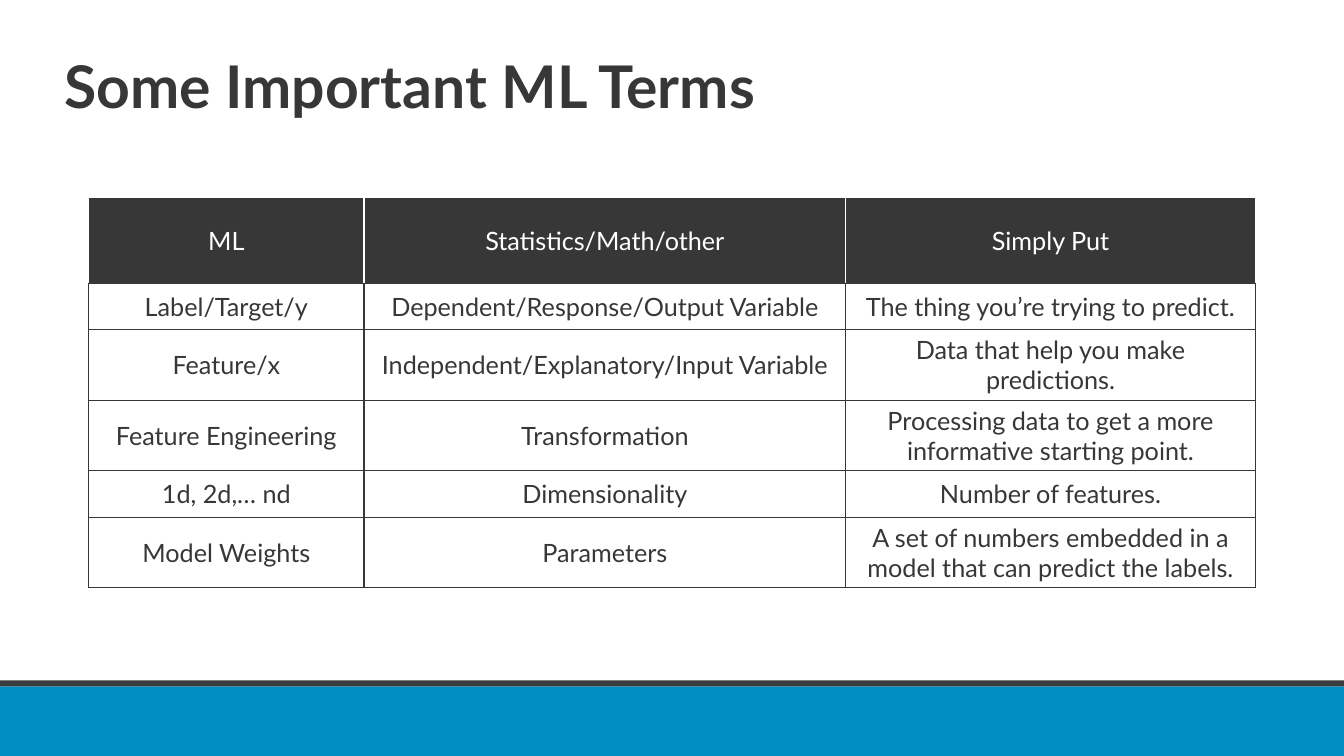
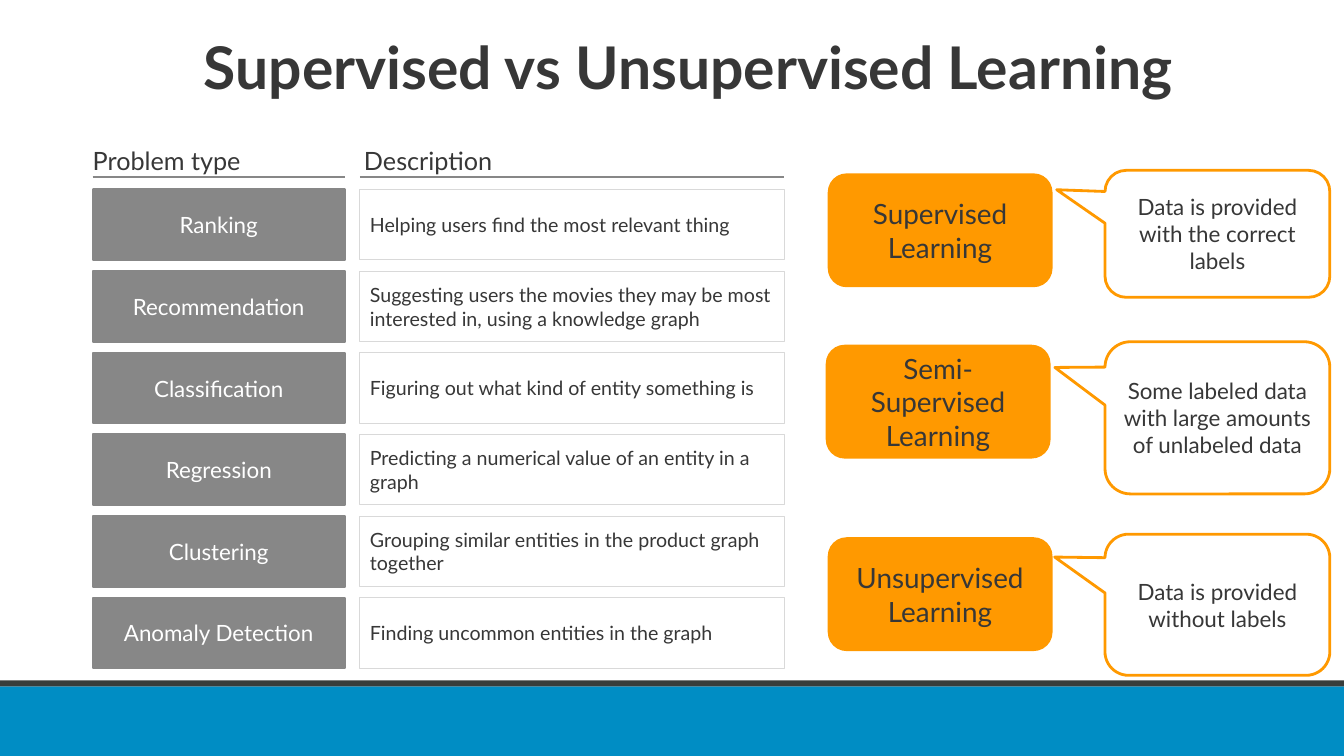
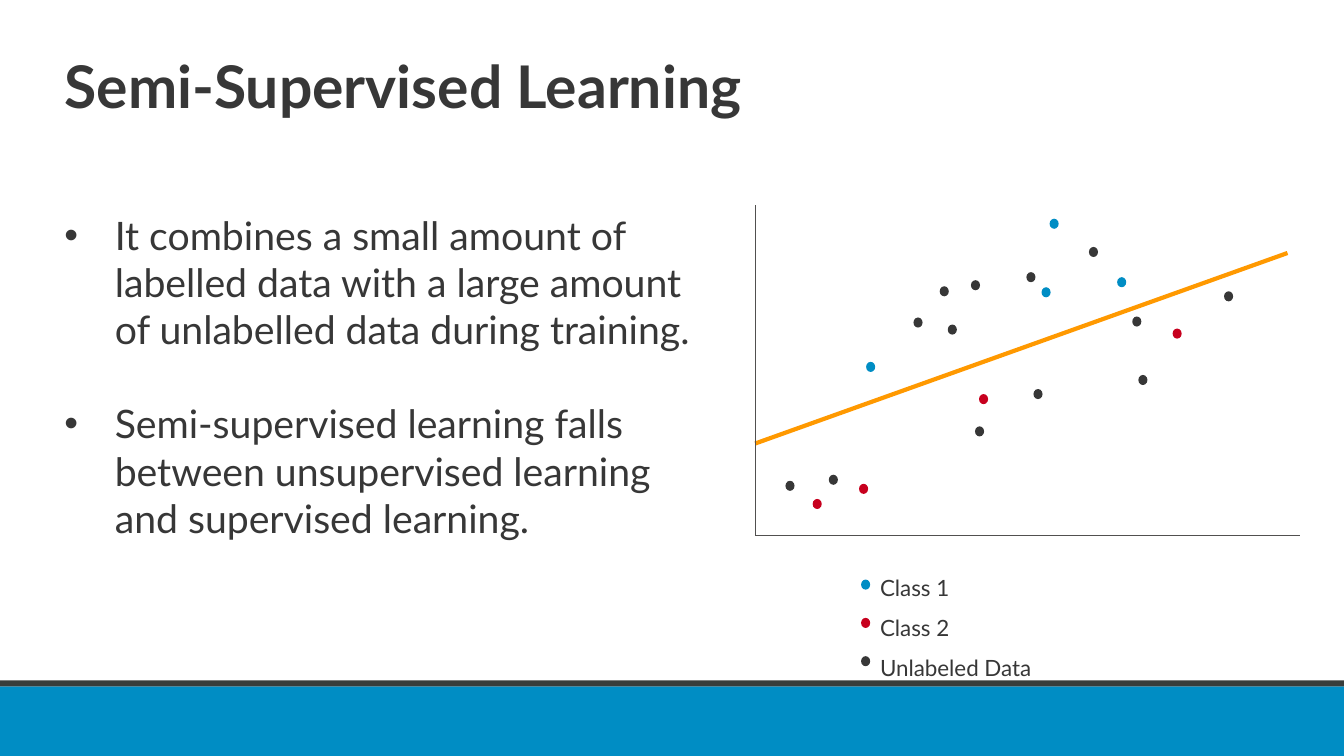
from lxml import etree
from pptx import Presentation
from pptx.dml.color import RGBColor
from pptx.enum.shapes import MSO_CONNECTOR, MSO_SHAPE, PP_PLACEHOLDER
from pptx.enum.text import MSO_ANCHOR, MSO_AUTO_SIZE, PP_ALIGN
from pptx.oxml.ns import qn
from pptx.util import Inches, Pt

LEFT, CENTER = PP_ALIGN.LEFT, PP_ALIGN.CENTER
TOP, MIDDLE = MSO_ANCHOR.TOP, MSO_ANCHOR.MIDDLE
RECTANGLE, ROUNDED = MSO_SHAPE.RECTANGLE, MSO_SHAPE.ROUNDED_RECTANGLE
CALLOUT = MSO_SHAPE.ROUNDED_RECTANGULAR_CALLOUT
DOT = MSO_SHAPE.FLOWCHART_CONNECTOR
STRAIGHT = MSO_CONNECTOR.STRAIGHT

FONT = "Lato"
INK, WHITE, BLUE, ORANGE, RED = "373737", "FFFFFF", "008DC4", "FF9900", "C7001E"
GRAY, PALE_GRAY, AXIS, BAND = "878787", "D9D9D9", "51504F", "383D3B"

TERMS = [
    ("ML", "Statistics/Math/other", "Simply Put"),
    ("Label/Target/y", "Dependent/Response/Output Variable",
     "The thing you’re trying to predict."),
    ("Feature/x", "Independent/Explanatory/Input Variable",
     "Data that help you make predictions."),
    ("Feature Engineering", "Transformation",
     "Processing data to get a more informative starting point."),
    ("1d, 2d,… nd", "Dimensionality", "Number of features."),
    ("Model Weights", "Parameters",
     "A set of numbers embedded in a model that can predict the labels."),
]
PROBLEMS = [
    ("Ranking", "Helping users find the most relevant thing"),
    ("Recommendation", "Suggesting users the movies they may be most "
     "interested in, using a knowledge graph"),
    ("Classification", "Figuring out what kind of entity something is"),
    ("Regression", "Predicting a numerical value of an entity in a graph"),
    ("Clustering", "Grouping similar entities in the product graph together"),
    ("Anomaly Detection", "Finding uncommon entities in the graph"),
]
# Kind, description, left and top of the label, callout height, callout tip
LEARNING_KINDS = [
    ("Supervised Learning", "Data is provided with the correct labels",
     8.21, 1.72, 1.26, (-0.715, -0.347)),
    ("Semi-Supervised Learning",
     "Some labeled data with large amounts of unlabeled data",
     8.19, 3.42, 1.51, (-0.723, -0.331)),
    ("Unsupervised Learning", "Data is provided without labels",
     8.21, 5.33, 1.4, (-0.724, -0.338)),
]
BULLETS = [
    "It combines a small amount of labelled data with a large amount of "
    "unlabelled data during training.",
    "Semi-supervised learning falls between unsupervised learning and "
    "supervised learning.",
]
# Dot positions are measured from the top left of the plot
CLASSES = [
    ("Class 1", BLUE, [(1.1, 1.56), (2.84, 0.82), (2.92, 0.14), (3.59, 0.72)]),
    ("Class 2", RED, [(0.57, 2.92), (1.03, 2.77), (2.22, 1.88), (4.14, 1.23)]),
    ("Unlabeled Data", INK, [
        (0.3, 2.74), (0.73, 2.68), (1.57, 1.12), (1.91, 1.19), (1.83, 0.81),
        (2.14, 0.75), (2.18, 2.2), (2.76, 1.83), (2.69, 0.67), (3.31, 0.42),
        (3.8, 1.69), (3.74, 1.11), (4.65, 0.86)]),
]


def color(value):
    return RGBColor.from_string(value)


def write_text(frame, *texts, size=16, ink=INK, bold=False, align=LEFT,
               anchor=TOP, spacing=None, gap=0, bullet=False):
    """Fill a text frame with one paragraph for each text."""
    frame.word_wrap = True
    frame.vertical_anchor = anchor
    for index, text in enumerate(texts):
        paragraph = frame.add_paragraph() if index else frame.paragraphs[0]
        paragraph.text = text
        paragraph.alignment = align
        if spacing:
            paragraph.line_spacing = spacing
        if index and gap:
            paragraph.space_before = Pt(gap)
        if bullet:
            properties = paragraph._p.get_or_add_pPr()
            properties.set("marL", str(Inches(0.5)))
            properties.set("indent", str(Inches(-0.5)))
            etree.SubElement(properties, qn("a:buFont"), typeface="Arial")
            etree.SubElement(properties, qn("a:buChar"), char="•")
        font = paragraph.font
        font.name, font.size, font.bold = FONT, Pt(size), bold
        font.color.rgb = color(ink)


def add_box(slide, kind, left, top, width, height, fill=None, line=None,
            line_width=1.5):
    shape = slide.shapes.add_shape(kind, Inches(left), Inches(top),
                                   Inches(width), Inches(height))
    shape.shadow.inherit = False
    if fill:
        shape.fill.solid()
        shape.fill.fore_color.rgb = color(fill)
    else:
        shape.fill.background()
    if line:
        shape.line.color.rgb = color(line)
        shape.line.width = Pt(line_width)
    else:
        shape.line.fill.background()
    return shape


def add_text(slide, left, top, width, height, *texts, **text_format):
    box = slide.shapes.add_textbox(Inches(left), Inches(top),
                                   Inches(width), Inches(height))
    write_text(box.text_frame, *texts, **text_format)
    return box


def add_line(slide, start, end, line, width):
    connector = slide.shapes.add_connector(
        STRAIGHT, *(Inches(value) for value in (*start, *end)))
    connector.line.color.rgb = color(line)
    connector.line.width = Pt(width)
    etree.SubElement(connector._element.spPr, qn("a:effectLst"))


def add_dot(slide, left, top, fill):
    add_box(slide, DOT, left, top, 0.09, 0.1, fill)


def add_title_slide(presentation, title, top=0.52, width=11.5, align=LEFT):
    slide = presentation.slides.add_slide(presentation.slide_layouts[5])
    shape = slide.shapes.title
    shape.left, shape.top = Inches(0.54), Inches(top)
    shape.width, shape.height = Inches(width), Inches(1.09)
    shape.text_frame.auto_size = MSO_AUTO_SIZE.NONE
    write_text(shape.text_frame, title, size=42, bold=True, align=align,
               spacing=0.9)
    return slide


def move_bands_to_layout(slide):
    """Give the slide's layout the footer bands, and only a title placeholder."""
    layout = slide.slide_layout
    for placeholder in list(layout.placeholders):
        if placeholder.placeholder_format.type != PP_PLACEHOLDER.TITLE:
            layout.shapes.element.remove(placeholder.element)
    for left, top, width, height, fill in ((-0.02, 6.81, 13.38, 0.69, BLUE),
                                           (-0.01, 6.75, 13.36, 0.06, BAND)):
        band = add_box(slide, RECTANGLE, left, top, width, height, fill)
        layout.shapes.element.append(band.element)


def set_borders(cell, **sides):
    properties = cell._tc.get_or_add_tcPr()
    for side in "LRTB":
        line = etree.SubElement(properties, qn(f"a:ln{side}"), w=str(Pt(1)))
        fill = etree.SubElement(line, qn("a:solidFill"))
        etree.SubElement(fill, qn("a:srgbClr"), val=sides[side])


def add_terms_table(slide, left, top, widths, heights):
    table = slide.shapes.add_table(
        len(heights), len(widths), Inches(left), Inches(top),
        Inches(sum(widths)), Inches(sum(heights))).table
    table.horz_banding = False
    for column, width in zip(table.columns, widths):
        column.width = Inches(width)
    for index, (row, height, texts) in enumerate(
            zip(table.rows, heights, TERMS)):
        row.height = Inches(height)
        header = index == 0
        edge = WHITE if header else INK
        for cell, text in zip(row.cells, texts):
            set_borders(cell, L=edge, R=edge, T=edge, B=INK)
            if header:
                cell.fill.solid()
                cell.fill.fore_color.rgb = color(INK)
            else:
                cell.fill.background()
            write_text(cell.text_frame, text, size=18, align=CENTER,
                       ink=WHITE if header else INK)
            cell.vertical_anchor = MIDDLE


def add_problem_grid(slide, left, top, type_width=2.5, text_width=4.21):
    text_left = left + type_width + 0.15
    for heading, x, inset, width in (
            ("Problem type", left, 0, type_width),
            ("Description", text_left, 0.04, text_width)):
        box = add_text(slide, x + inset, top, width, 0.42, heading, size=18,
                       spacing=1.2)
        box.text_frame.margin_left = 0
        add_line(slide, (x, top + 0.43), (x + width, top + 0.43), GRAY, 1.5)
    for index, (problem, description) in enumerate(PROBLEMS):
        y = top + 0.55 + index * 0.81
        label = add_box(slide, RECTANGLE, left, y, type_width, 0.7, GRAY, GRAY)
        write_text(label.text_frame, problem, ink=WHITE, align=CENTER,
                   anchor=MIDDLE)
        box = add_box(slide, RECTANGLE, text_left, y, text_width, 0.7,
                      line=PALE_GRAY, line_width=0.75)
        write_text(box.text_frame, description, size=14, anchor=MIDDLE)


def add_learning_kind(slide, kind, description, left, top, height, tip):
    label = add_box(slide, ROUNDED, left, top, 2.23, 1.13, ORANGE)
    write_text(label.text_frame, kind, size=19.9, align=CENTER, anchor=MIDDLE)
    callout = add_box(slide, CALLOUT, 10.96, top - 0.03, 2.23, height,
                      WHITE, ORANGE, 2)
    for index, value in enumerate((*tip, 0.167)):
        callout.adjustments[index] = value
    write_text(callout.text_frame, description, align=CENTER, anchor=MIDDLE)


def add_scatter(slide, left, top, width, height):
    for _, fill, points in CLASSES:
        for x, y in points:
            add_dot(slide, left + x, top + y, fill)
    corner = (left, top + height)
    add_line(slide, (left, top + 2.37), (left + 5.28, top + 0.48), ORANGE, 3)
    add_line(slide, corner, (left, top), AXIS, 0.5)
    add_line(slide, corner, (left + width, top + height), AXIS, 0.5)


def add_legend(slide, left, top):
    add_text(slide, left + 0.09, top, 1.97, 1.27,
             *(name for name, _, _ in CLASSES), spacing=1.5)
    for index, (_, fill, _) in enumerate(CLASSES):
        add_dot(slide, left, top + 0.24 + index * 0.38, fill)


def main():
    presentation = Presentation()
    presentation.slide_width = Inches(13.33)
    presentation.slide_height = Inches(7.5)

    terms = add_title_slide(presentation, "Some Important ML Terms")
    move_bands_to_layout(terms)
    add_terms_table(terms, 0.88, 1.96, (2.73, 4.78, 4.06),
                    (0.85, 0.46, 0.7, 0.7, 0.46, 0.7))

    comparison = add_title_slide(
        presentation, "Supervised vs Unsupervised Learning",
        top=0.33, width=12.57, align=CENTER)
    add_problem_grid(comparison, 0.92, 1.33)
    for learning_kind in LEARNING_KINDS:
        add_learning_kind(comparison, *learning_kind)

    semi_supervised = add_title_slide(presentation, "Semi-Supervised Learning")
    add_text(semi_supervised, 0.54, 2.05, 6.68, 3.4, *BULLETS, size=28,
             gap=33.6, bullet=True)
    add_scatter(semi_supervised, 7.49, 2.03, 5.4, 3.28)
    add_legend(semi_supervised, 8.54, 5.51)

    presentation.save("out.pptx")


if __name__ == "__main__":
    main()
